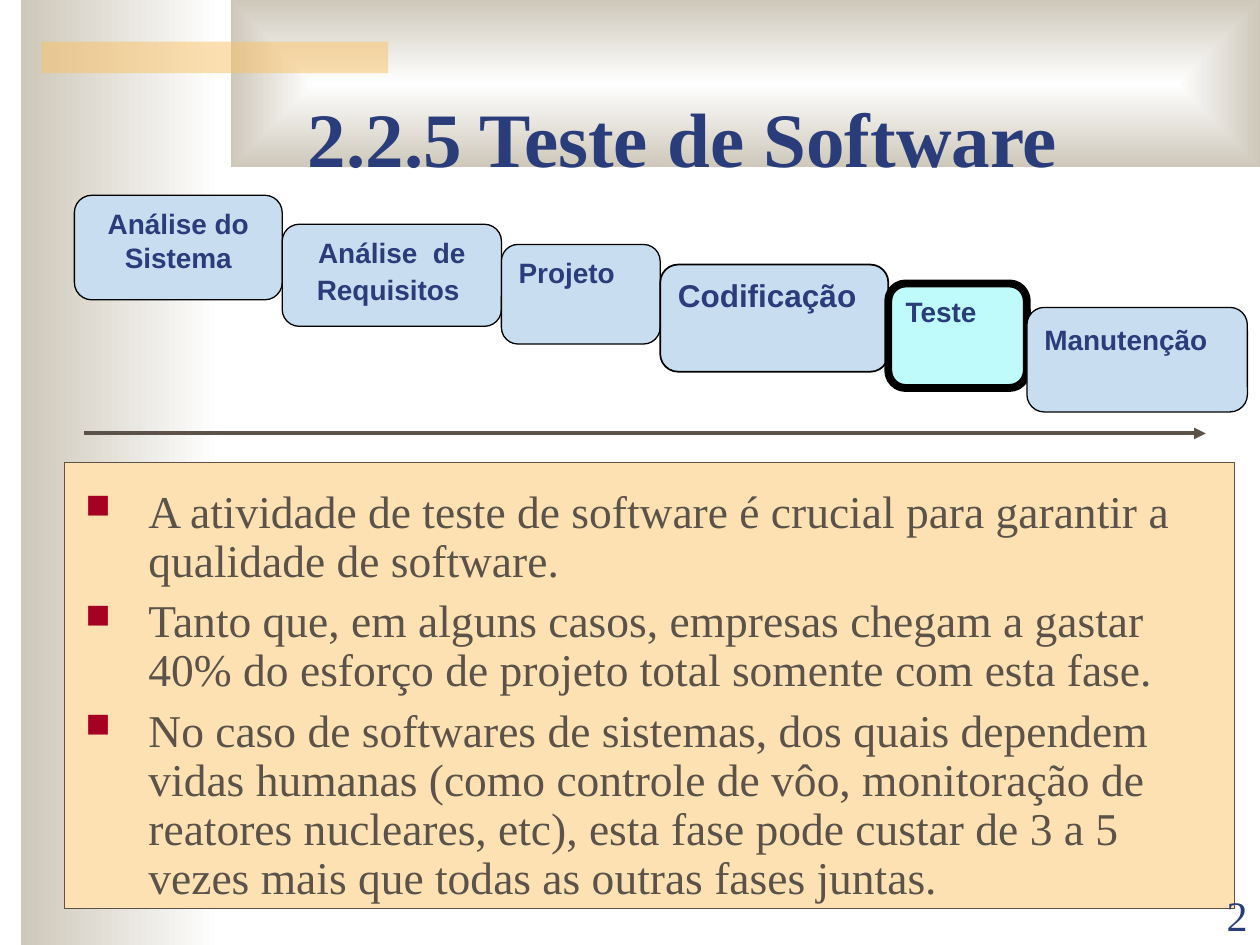
"""Build the slide on the software testing phase."""
from dataclasses import dataclass
from itertools import accumulate

from lxml import etree
from pptx import Presentation
from pptx import util as u
from pptx.dml.color import RGBColor
from pptx.enum import shapes, text
from pptx.oxml import parse_xml
from pptx.oxml.ns import nsdecls, qn

COLUMNS, ROWS = 100, 75
Kind, Align, Anchor = shapes.MSO_SHAPE, text.PP_ALIGN, text.MSO_ANCHOR


@dataclass(frozen=True)
class Theme:
    """Colours, fonts and type sizes of the slide."""
    white: str = "FFFFFF"
    sand: str = "CEC8BA"
    amber: str = "FAC164"
    cream: str = "FDE1B3"
    brown: str = "5B5249"
    navy: str = "2A3D7A"
    crimson: str = "A50021"
    sky: str = "C9DDF1"
    aqua: str = "BFFBFA"
    black: str = "000000"
    serif: str = "Times New Roman"
    sans: str = "Arial"
    narrow: str = "Arial Narrow"
    title: int = 44
    body: int = 26
    number: int = 24
    large: int = 18
    label: int = 16


def apply(target, values):
    """Set each named attribute of the target."""
    for name, value in values.items():
        setattr(target, name, value)


class Deck:
    """Hold the theme and the current slide, and draw on its grid."""

    def __init__(self, theme):
        """Open a deck with one title-only slide."""
        self.theme = theme
        self.show = Presentation()
        apply(self.show, {"slide_width": u.Inches(10), "slide_height": u.Inches(7.5)})
        self.slide = self.show.slides.add_slide(self.show.slide_layouts[5])

    def spot(self, column, row):
        """Turn grid columns and rows into lengths."""
        return (round(self.show.slide_width * column / COLUMNS),
                round(self.show.slide_height * row / ROWS))

    def frame(self, left, top, width, height):
        """Turn a grid box into left, top, width and height."""
        return (*self.spot(left, top), *self.spot(width, height))

    def style(self, font, size, color, face, bold=False):
        """Format a font."""
        apply(font, {"size": u.Pt(size), "name": face, "bold": bold})
        font.color.rgb = RGBColor.from_string(color)

    def box(self, area, fill=None, line=None, weight=0.75, kind=Kind.RECTANGLE):
        """Draw a preset shape with an optional plain fill and outline."""
        shape = self.slide.shapes.add_shape(kind, *self.frame(*area))
        shape.shadow.inherit = False
        if fill:
            shape.fill.solid()
            shape.fill.fore_color.rgb = RGBColor.from_string(fill)
        if line:
            shape.line.color.rgb = RGBColor.from_string(line)
            shape.line.width = u.Pt(weight)
        else:
            shape.line.fill.background()
        return shape

    def shade(self, area, centred=False):
        """Draw a band that fades from white to sand."""
        band = self.box(area)
        band.fill.gradient()
        band.fill.gradient_angle = 180
        for stop, color, position in zip(band.fill.gradient_stops,
                                         (self.theme.white, self.theme.sand), (0, 1)):
            stop.color.rgb = RGBColor.from_string(color)
            stop.position = position
        if centred:
            linear = band._element.spPr.find(".//" + qn("a:lin"))
            linear.getparent().replace(linear, parse_xml(
                f'<a:path {nsdecls("a")} path="rect">'
                '<a:fillToRect l="50000" t="50000" r="50000" b="50000"/></a:path>'))

    def veil(self, area, fill, opacity):
        """Draw a translucent bar."""
        color = self.box(area, fill)._element.spPr.find(".//" + qn("a:srgbClr"))
        etree.SubElement(color, qn("a:alpha"), val=str(opacity * 1000))

    def title(self, area, wording):
        """Place the title above the shapes drawn so far."""
        heading = self.slide.shapes.title
        self.slide.shapes._spTree.append(heading._element)
        apply(heading, dict(zip(("left", "top", "width", "height"), self.frame(*area))))
        heading.text_frame.text = wording
        apply(heading.text_frame, {"vertical_anchor": Anchor.BOTTOM, "word_wrap": True,
                                   "auto_size": text.MSO_AUTO_SIZE.NONE})
        paragraph = heading.text_frame.paragraphs[0]
        paragraph.alignment = Align.CENTER
        self.style(paragraph.runs[0].font, self.theme.title, self.theme.navy,
                   self.theme.serif, True)

    def textbox(self, area, anchor=Anchor.TOP):
        """Add an empty wrapping text box and return its frame."""
        frame = self.slide.shapes.add_textbox(*self.frame(*area)).text_frame
        apply(frame, {"word_wrap": True, "vertical_anchor": anchor})
        return frame

    def bullets(self, area, points):
        """Write a list with square bullets."""
        frame = self.textbox(area)
        for index, point in enumerate(points):
            paragraph = frame.add_paragraph() if index else frame.paragraphs[0]
            properties = paragraph._p.get_or_add_pPr()
            apply_indent = {"marL": u.Inches(0.5), "indent": -u.Inches(0.5)}
            for name, value in apply_indent.items():
                properties.set(name, str(value))
            color = etree.SubElement(properties, qn("a:buClr"))
            etree.SubElement(color, qn("a:srgbClr"), val=self.theme.crimson)
            etree.SubElement(properties, qn("a:buSzPct"), val="75000")
            etree.SubElement(properties, qn("a:buChar"), char="■")
            apply(paragraph, {"line_spacing": 0.9,
                              "space_before": u.Pt(6.5 if index else 0)})
            run = paragraph.add_run()
            run.text = point
            self.style(run.font, self.theme.body, self.theme.brown, self.theme.serif)

    def stage(self, area, wording, align=Align.LEFT, size=None, tail=None,
              fill=None, weight=0.75):
        """Draw one phase of the process, with an optional closing space."""
        card = self.box(area, fill or self.theme.sky, self.theme.black, weight,
                        Kind.ROUNDED_RECTANGLE)
        apply(card.text_frame, {"word_wrap": True, "vertical_anchor": Anchor.TOP})
        paragraph = card.text_frame.paragraphs[0]
        paragraph.alignment = align
        label = paragraph.add_run()
        label.text = wording
        self.style(label.font, size or self.theme.label, self.theme.navy,
                   self.theme.sans, True)
        if tail:
            space = paragraph.add_run()
            space.text = " "
            self.style(space.font, self.theme.large, self.theme.navy, tail)

    def arrow(self, start, end):
        """Draw the time line with an arrowhead."""
        line = self.slide.shapes.add_connector(
            shapes.MSO_CONNECTOR.STRAIGHT, *self.spot(*start), *self.spot(*end))
        line.line.color.rgb = RGBColor.from_string(self.theme.brown)
        line.line.width = u.Pt(2.25)
        etree.SubElement(line.line._get_or_add_ln(), qn("a:tailEnd"), type="triangle")
        etree.SubElement(line._element.spPr, qn("a:effectLst"))

    def number(self, area, wording):
        """Write the page number."""
        paragraph = self.textbox(area, Anchor.BOTTOM).paragraphs[0]
        paragraph.alignment = Align.RIGHT
        run = paragraph.add_run()
        run.text = wording
        self.style(run.font, self.theme.number, self.theme.navy, self.theme.serif)


def main():
    """Draw the slide and save it."""
    theme = Theme()
    deck = Deck(theme)
    deck.shade((1.7, 0, 15.8, 75))
    deck.shade((18.3, 0, 81.7, 13.3), centred=True)
    deck.veil((3.3, 3.3, 27.5, 2.5), theme.amber, 50)
    deck.box((5.1, 36.7, 92.9, 35.4), theme.cream, theme.brown)
    deck.title((11.7, 5.8, 85, 9.2), "2.2.5 Teste de Software")
    deck.bullets((5.8, 38.3, 92.3, 36.7), [
        "A atividade de teste de software é crucial para garantir a qualidade de software.",
        "Tanto que, em alguns casos, empresas chegam a gastar 40% do esforço de projeto "
        "total somente com esta fase.",
        "No caso de softwares de sistemas, dos quais dependem vidas humanas (como controle "
        "de vôo, monitoração de reatores nucleares, etc), esta fase pode custar de 3 a 5 "
        "vezes mais que todas as outras fases juntas."])
    stages = [
        (15.5, 16.5, 8.3, "Análise do Sistema", {"align": Align.CENTER}),
        (17.8, 17.4, 8.1, "Análise  de Requisitos",
         {"align": Align.CENTER, "tail": theme.narrow}),
        (19.4, 12.6, 7.9, "Projeto", {}),
        (21, 18.1, 8.5, "Codificação", {"size": theme.large, "weight": 1}),
        (22.5, 11, 8.3, "Teste", {"fill": theme.aqua, "weight": 4.5}),
        (24.4, 17.5, 8.3, "Manutenção", {"tail": theme.narrow})]
    lefts = accumulate((width for _, width, *_ in stages), initial=5.9)
    for left, (top, width, height, wording, look) in zip(lefts, stages):
        deck.stage((left, top, width, height), wording, **look)
    deck.arrow((6.7, 34.4), (95.7, 34.4))
    deck.number((90, 70.1, 10, 5), "2")
    deck.show.save("out.pptx")


if __name__ == "__main__":
    main()
